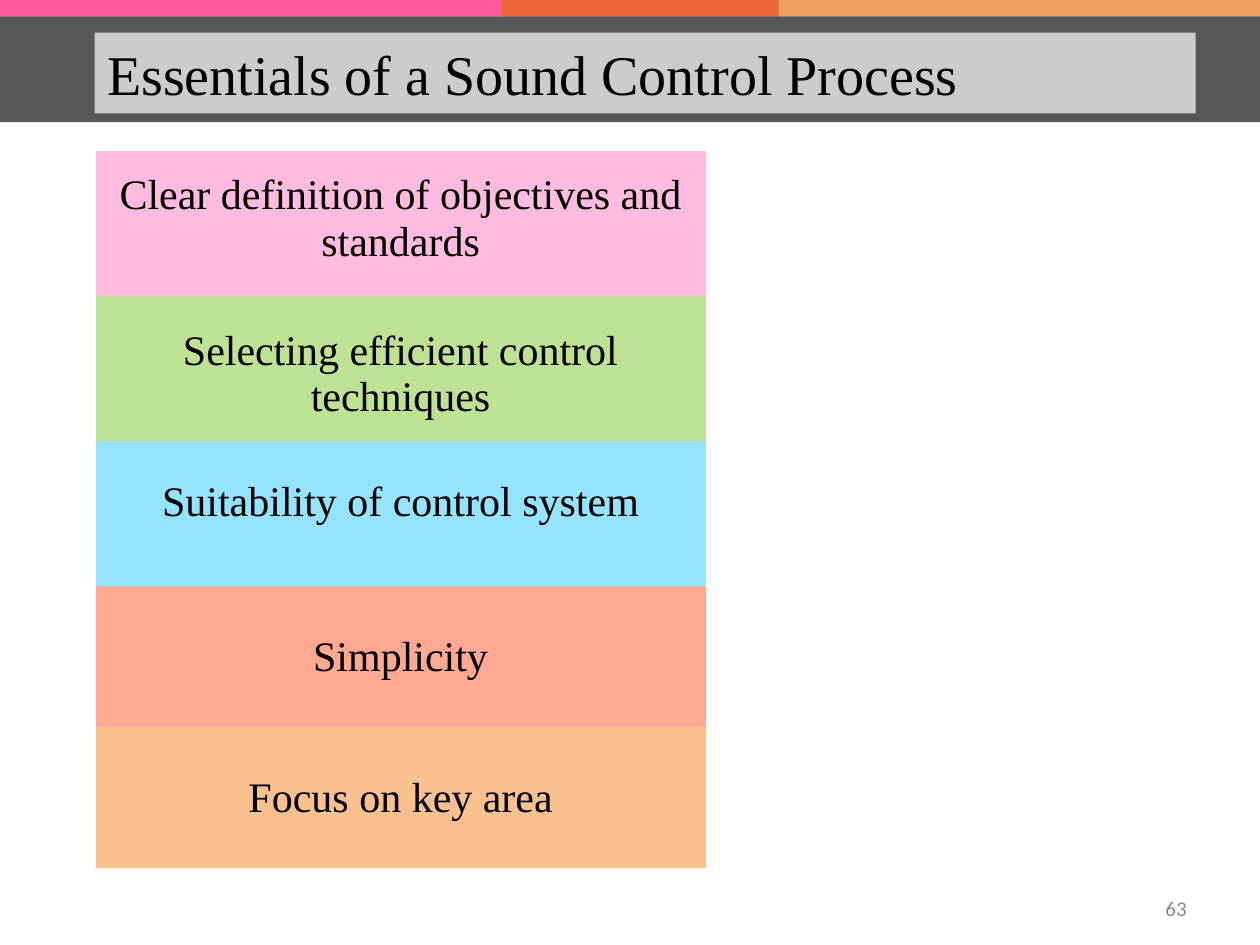
from lxml import etree
from pptx import Presentation
from pptx.dml.color import RGBColor
from pptx.enum.shapes import MSO_SHAPE
from pptx.enum.text import MSO_ANCHOR, PP_ALIGN
from pptx.oxml.ns import qn
from pptx.util import Inches, Pt

RECT = MSO_SHAPE.RECTANGLE
TOP, MIDDLE = MSO_ANCHOR.TOP, MSO_ANCHOR.MIDDLE
LEFT, CENTER = PP_ALIGN.LEFT, PP_ALIGN.CENTER

PINK = RGBColor(0xFF, 0x00, 0x66)
ORANGE = RGBColor(0xE3, 0x6C, 0x09)
DARK = RGBColor(0x40, 0x40, 0x40)
WHITE = RGBColor(0xFF, 0xFF, 0xFF)
BLACK = RGBColor(0x00, 0x00, 0x00)
GREY = RGBColor(0x88, 0x88, 0x88)
ROSE = RGBColor(0xFF, 0xBC, 0xDE)
GREEN = RGBColor(0xBD, 0xE2, 0x94)
SKY = RGBColor(0x96, 0xE3, 0xFF)
CORAL = RGBColor(0xFF, 0xA8, 0x92)
PEACH = RGBColor(0xF9, 0xC0, 0x90)

SERIF, SANS = "Times New Roman", "Calibri"
COLS, ROWS = 100, 75
PLAIN = "{2D5ABB26-0587-4C30-8999-92F81FD0307C}"

STEPS = [
    ("Clear definition of objectives and standards", ROSE, 11.5, 0.17),
    ("Selecting efficient control techniques", GREEN, 11.5, 0.25),
    ("Suitability of control system", SKY, 11.5, 0.3),
    ("Simplicity", CORAL, 11.2, 0.38),
    ("Focus on key area", PEACH, 11.2, 0.38),
]


class Deck:
    def __init__(self):
        self.prs = Presentation()
        self.prs.slide_width = Inches(10)
        self.prs.slide_height = Inches(7.5)
        self.slide = self.prs.slides.add_slide(self.prs.slide_layouts[5])
        self.shapes = self.slide.shapes

    def area(self, col, row, wide, high):
        unit_x = self.prs.slide_width / COLS
        unit_y = self.prs.slide_height / ROWS
        return (int(col * unit_x), int(row * unit_y),
                int(wide * unit_x), int(high * unit_y))

    def paint(self, shape, color, alpha):
        shape.fill.solid()
        shape.fill.fore_color.rgb = color
        fill = shape._element.spPr.find(qn("a:solidFill"))
        etree.SubElement(fill[0], qn("a:alpha"), val=str(alpha * 1000))

    def label(self, frame, text, size, font=SERIF, color=BLACK, align=LEFT):
        frame.text = text
        para = frame.paragraphs[0]
        para.alignment = align
        para.font.size = Pt(size)
        para.font.name = font
        para.font.color.rgb = color

    def inset(self, frame, left=0, top=0):
        frame.word_wrap = True
        frame.margin_left, frame.margin_top = Inches(left), Inches(top)
        frame.margin_right = frame.margin_bottom = 0

    def bar(self, area, color, alpha):
        shape = self.shapes.add_shape(RECT, *self.area(*area))
        shape.shadow.inherit = False
        shape.line.fill.background()
        self.paint(shape, color, alpha)

    def title(self, area, text):
        shape = self.shapes.title
        shape.left, shape.top, shape.width, shape.height = self.area(*area)
        self.paint(shape, WHITE, 70)
        self.inset(shape.text_frame, left=0.1)
        shape.text_frame.vertical_anchor = MIDDLE
        self.label(shape.text_frame, text, 32)
        self.shapes._spTree.append(shape._element)

    def table(self, area, steps):
        table = self.shapes.add_table(len(steps), 1, *self.area(*area)).table
        table.first_row = table.horz_banding = False
        table._tbl.tblPr.find(qn("a:tableStyleId")).text = PLAIN
        for index, (text, color, high, top) in enumerate(steps):
            table.rows[index].height = self.area(0, 0, 0, high)[3]
            cell = table.cell(index, 0)
            cell.fill.solid()
            cell.fill.fore_color.rgb = color
            cell.margin_left = cell.margin_right = cell.margin_bottom = 0
            cell.margin_top = Inches(top)
            cell.vertical_anchor = TOP
            self.label(cell.text_frame, text, 24, align=CENTER)

    def number(self, area, text):
        frame = self.shapes.add_textbox(*self.area(*area)).text_frame
        self.inset(frame, left=0.09, top=0.04)
        self.label(frame, text, 12, SANS, GREY)


def main():
    deck = Deck()
    deck.bar((0, 0, 61.8, 1.3), PINK, 65)
    deck.bar((39.8, 0, 60.2, 1.3), ORANGE, 65)
    deck.bar((0, 1.3, 100, 8.4), DARK, 88)
    deck.title((7.5, 2.6, 87.4, 6.4), "Essentials of a Sound Control Process")
    deck.table((7.6, 12, 48.4, 57), STEPS)
    deck.number((91.6, 70.7, 3, 2.6), "63")
    deck.prs.save("out.pptx")


if __name__ == "__main__":
    main()
